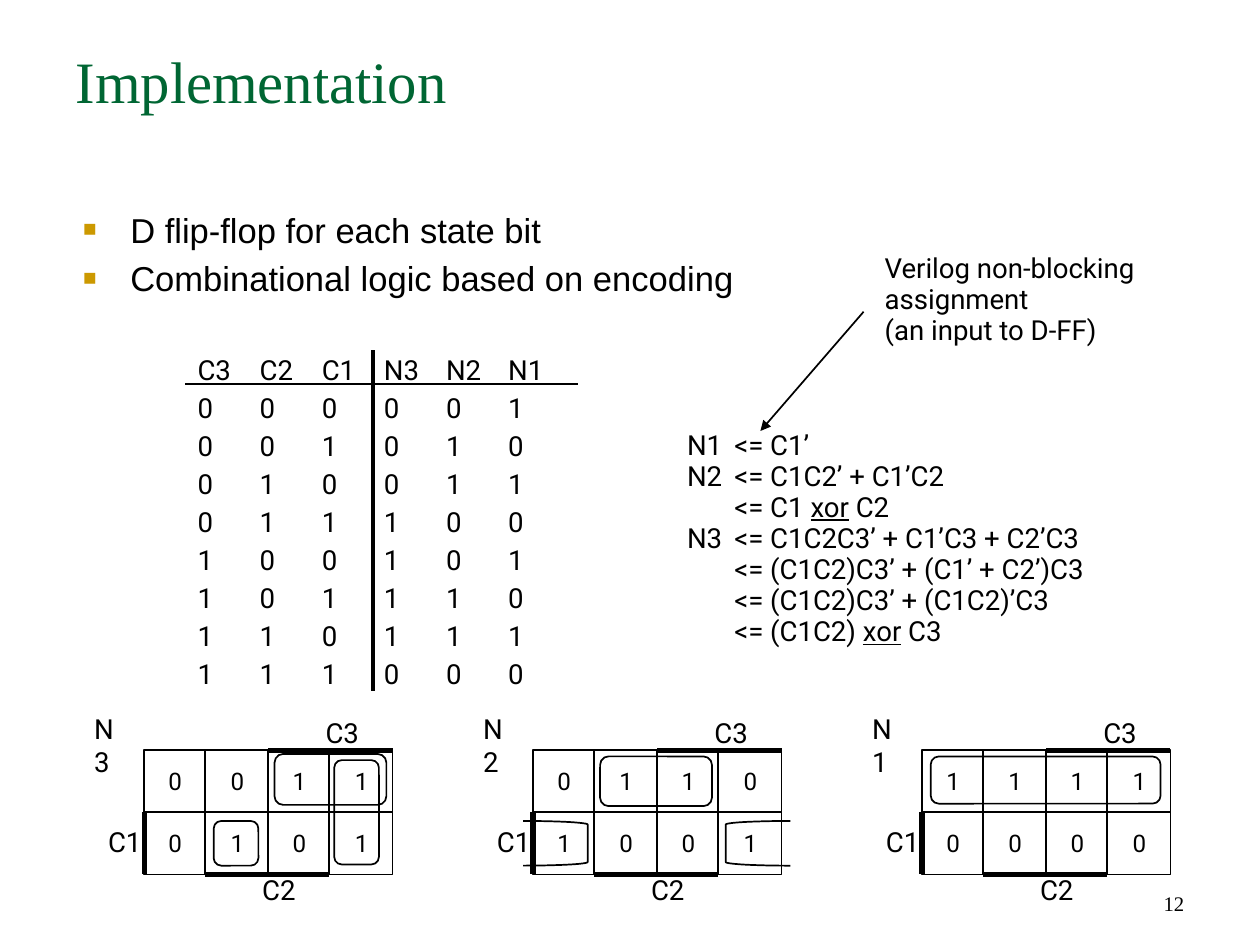
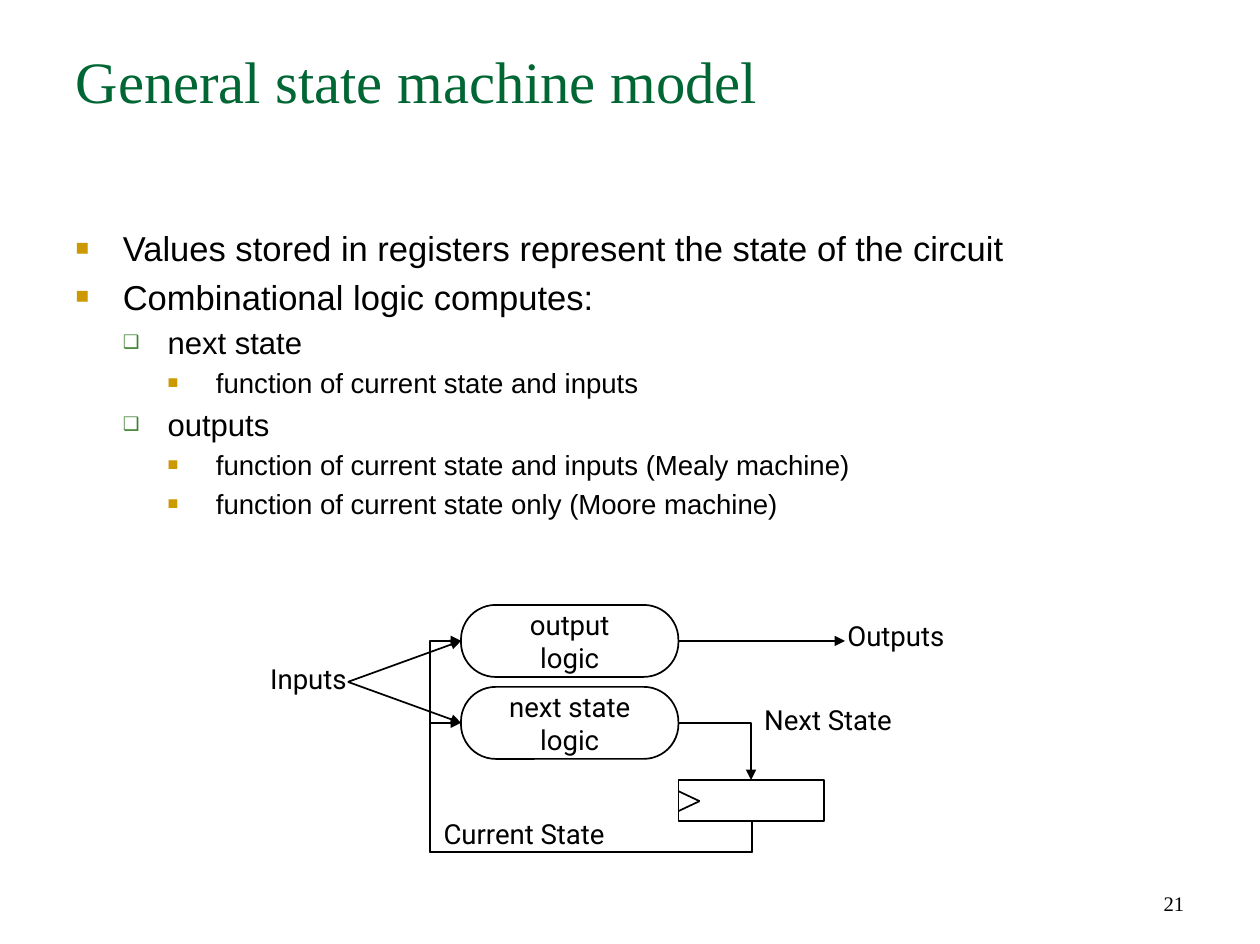
import pptx
import pptx.util
import pptx.dml.color
import pptx.enum.shapes
import pptx.enum.text
import pptx.oxml.ns
import lxml.etree

Inches = pptx.util.Inches
Pt = pptx.util.Pt
SHAPES = pptx.enum.shapes.MSO_SHAPE
LINES = pptx.enum.shapes.MSO_CONNECTOR
ALIGN = pptx.enum.text.PP_ALIGN
ANCHOR = pptx.enum.text.MSO_ANCHOR

COLORS = {"ink": "000000", "title": "006633", "gold": "CC9900", "green": "3B812F"}
SERIF, SANS, DIAGRAM = "Times New Roman", "Arial", "Roboto"
WIDE, TIGHT = (0.1, 0.05), (0.02, 0.03)
STOPS = (0.38, 1, 1.5)
LEVELS = [
    (20, 0.38, 0.38, "■", "gold", 65),
    (18, 0.74, 0.36, "❑", "green", 60),
    (16, 1.13, 0.39, "■", "gold", 65),
]


def rgb(name):
    return pptx.dml.color.RGBColor.from_string(COLORS[name])


def add_node(parent, tag, **attributes):
    node = lxml.etree.SubElement(parent, pptx.oxml.ns.qn(tag))
    for key, value in attributes.items():
        node.set(key, str(value))
    return node


def add_span(para, text, size, font=DIAGRAM, color="ink", underline=None):
    span = para.add_run()
    span.text = text
    span.font.size = Pt(size)
    span.font.name = font
    span.font.color.rgb = rgb(color)
    span.font.underline = underline


def set_frame(frame, insets, anchor=ANCHOR.TOP):
    frame.word_wrap = True
    frame.auto_size = pptx.enum.text.MSO_AUTO_SIZE.NONE
    frame.vertical_anchor = anchor
    frame.margin_left = frame.margin_right = Inches(insets[0])
    frame.margin_top = frame.margin_bottom = Inches(insets[1])


def next_para(frame, index):
    return frame.add_paragraph() if index else frame.paragraphs[0]


def add_text(page, place, lines, spacing=None, size=16, font=DIAGRAM, insets=TIGHT,
             align=ALIGN.LEFT, anchor=ANCHOR.TOP, stops=()):
    box = page.shapes.add_textbox(*map(Inches, place))
    set_frame(box.text_frame, insets, anchor)
    for index, line in enumerate(lines):
        para = next_para(box.text_frame, index)
        para.alignment = align
        if stops:
            tabs = add_node(para._p.get_or_add_pPr(), "a:tabLst")
            for stop in stops:
                add_node(tabs, "a:tab", pos=Inches(stop), algn="l")
        if spacing:
            para.line_spacing = Pt(spacing)
        for part, text in enumerate(line.split("_")):
            add_span(para, text, size, font, underline=True if part % 2 else None)


def add_bullets(page, left, top, items):
    box = page.shapes.add_textbox(*map(Inches, (left, top, 9.12, 5.02)))
    set_frame(box.text_frame, WIDE)
    for index, (level, text) in enumerate(items):
        size, indent, hang, mark, color, percent = LEVELS[level]
        para = next_para(box.text_frame, index)
        props = para._p.get_or_add_pPr()
        props.set("marL", str(Inches(indent)))
        props.set("indent", str(-Inches(hang)))
        add_node(add_node(props, "a:buClr"), "a:srgbClr", val=COLORS[color])
        add_node(props, "a:buSzPct", val=percent * 1000)
        add_node(props, "a:buFont", typeface=SANS)
        add_node(props, "a:buChar", char=mark)
        para.level = level
        if index:
            para.space_before = Pt(size * 0.2)
        add_span(para, text, size, SANS)


def add_outline(page, kind, place, adjust=None, lines=()):
    shape = page.shapes.add_shape(kind, *map(Inches, place))
    shape.shadow.inherit = False
    shape.fill.background()
    shape.line.color.rgb = rgb("ink")
    shape.line.width = Pt(1)
    if adjust is not None:
        shape.adjustments[0] = adjust
    if lines:
        set_frame(shape.text_frame, WIDE, ANCHOR.MIDDLE)
    for index, line in enumerate(lines):
        para = next_para(shape.text_frame, index)
        para.alignment = ALIGN.CENTER
        add_span(para, line, 16)
    return shape


def add_line(page, start, end, weight=1, arrow=False, kind=LINES.STRAIGHT):
    line = page.shapes.add_connector(kind, *map(Inches, (*start, *end)))
    line.line.color.rgb = rgb("ink")
    line.line.width = Pt(weight)
    if arrow:
        add_node(line.line._get_or_add_ln(), "a:tailEnd", type="triangle")
    add_node(line._element.spPr, "a:effectLst")
    return line


def add_feedback(page, register, logic, start, end, reach=0.25):
    line = add_line(page, start, end, arrow=True, kind=LINES.ELBOW)
    line.begin_connect(register, 2)
    line.end_connect(logic, 1)
    rise, run = start[1] - end[1], start[0] - end[0]
    line.left = Inches((start[0] + end[0] - rise) / 2)
    line.top = Inches((start[1] + end[1] - run) / 2)
    line.width, line.height = Inches(rise), Inches(run)
    frame = line._element.spPr.find(pptx.oxml.ns.qn("a:xfrm"))
    frame.attrib.pop("flipH", None)
    frame.set("rot", "16200000")
    frame.set("flipV", "1")
    shape = line._element.spPr.find(pptx.oxml.ns.qn("a:prstGeom"))
    shape.set("prst", "bentConnector4")
    guides = shape.find(pptx.oxml.ns.qn("a:avLst"))
    if guides is None:
        guides = add_node(shape, "a:avLst")
    for name, value in (("adj1", -reach / rise), ("adj2", 1 + reach / run)):
        add_node(guides, "a:gd", name=name, fmla=f"val {round(value * 100000)}")


def clear_borders(cell):
    props = cell._tc.get_or_add_tcPr()
    for position, side in enumerate(("L", "R", "T", "B")):
        border = lxml.etree.Element(pptx.oxml.ns.qn(f"a:ln{side}"))
        add_node(border, "a:noFill")
        props.insert(position, border)


def add_grid(page, left, top, rows, widths, heights, size, align, anchor, inset):
    frame = page.shapes.add_table(len(rows), len(widths), Inches(left), Inches(top),
                                  sum(widths), sum(heights))
    table = frame.table
    table.first_row = table.horz_banding = False
    for column, width in zip(table.columns, widths):
        column.width = width
    for row, height in zip(table.rows, heights):
        row.height = height
    for r, values in enumerate(rows):
        for c, value in enumerate(values):
            cell = table.cell(r, c)
            cell.margin_left, cell.margin_right = Inches(inset), 0
            cell.margin_top = cell.margin_bottom = 0
            cell.vertical_anchor = anchor
            cell.fill.background()
            clear_borders(cell)
            para = cell.text_frame.paragraphs[0]
            para.alignment = align
            add_span(para, value, size)


def add_truth_table(page):
    rows = [["C3", "C2", "C1", "N3", "N2", "N1"]]
    for state in range(8):
        rows.append(list(f"{state:03b}{(state + 1) % 8:03b}"))
    add_grid(page, 1.49, 2.85, rows, [Inches(0.5)] * 5 + [Inches(0.66)],
             [Inches(0.27)] + [Pt(22)] * 8, 16, ALIGN.LEFT, ANCHOR.BOTTOM, 0.1)
    add_line(page, (1.49, 3.09), (4.65, 3.09))
    add_line(page, (3, 2.82), (3, 5.56), 2)


def add_karnaugh_map(page, left, name, rows):
    top, cell = 6.04, 0.5
    add_grid(page, left, top + 0.01, rows, [Inches(cell)] * 4, [Inches(cell)] * 2,
             14, ALIGN.CENTER, ANCHOR.MIDDLE, 0)
    for half in (left + 2 * cell, left):
        add_outline(page, SHAPES.RECTANGLE, (half, top, 2 * cell, 2 * cell))
        add_line(page, (half + 0.49, top), (half + 0.49, top + 2 * cell))
        add_line(page, (half + 2 * cell, top + cell), (half, top + cell))
    for x1, y1, x2, y2 in ((1, 0, 2, 0), (0.49, 1, 1.49, 1), (0, 0.5, 0, 1)):
        add_line(page, (left + x1, top + y1), (left + x2, top + y2), 3)
    for label, x, y in (("C1", -0.31, 6.66), ("C2", 0.93, 7.04), ("C3", 1.44, 5.78)):
        add_text(page, (left + x, y, 0.64, 0.36), [label], 16)
    add_text(page, (left - 0.5, 5.68, 0.46, 0.37), [name], insets=WIDE)


def add_page(deck, title, number):
    page = deck.slides.add_slide(deck.slide_layouts[5])
    box = page.shapes.title
    box.left, box.top, box.width, box.height = map(Inches, (0.51, 0.31, 9.12, 1.26))
    set_frame(box.text_frame, WIDE)
    para = box.text_frame.paragraphs[0]
    para.alignment = ALIGN.LEFT
    add_span(para, title, 34, SERIF, "title")
    add_text(page, (7.26, 6.91, 2.37, 0.51), [str(number)], size=12, font=SERIF,
             insets=WIDE, align=ALIGN.RIGHT, anchor=ANCHOR.BOTTOM)
    return page


def build_implementation(deck):
    page = add_page(deck, "Implementation", 12)
    add_bullets(page, 0.57, 1.63, [
        (0, "D flip-flop for each state bit"),
        (0, "Combinational logic based on encoding"),
    ])
    add_truth_table(page)
    add_text(page, (5.51, 3.43, 4.22, 1.64), [
        "N1\t<= C1’",
        "N2\t<= C1C2’ + C1’C2",
        "\t<= C1 _xor_ C2",
        "N3\t<= C1C2C3’ + C1’C3 + C2’C3",
        "\t<= (C1C2)C3’ + (C1’ + C2’)C3",
        "\t<= (C1C2)C3’ + (C1C2)’C3",
        "\t<= (C1C2) _xor_ C3",
    ], 18, stops=STOPS)
    add_line(page, (6.95, 2.51), (6.12, 3.47), arrow=True)
    add_text(page, (7.1, 2.01, 2.28, 0.89),
             ["Verilog non-blocking", "assignment", "(an input to D-FF)"], 18)
    maps = (("N3", ("0011", "0101")), ("N2", ("0110", "1001")), ("N1", ("1111", "0000")))
    for index, (name, rows) in enumerate(maps):
        add_karnaugh_map(page, 1.16 + 3.13 * index, name, rows)
    for place in ((2.21, 6.07, 0.9, 0.41), (2.69, 6.12, 0.36, 0.84),
                  (1.72, 6.61, 0.36, 0.36), (4.83, 6.09, 0.9, 0.4),
                  (7.49, 6.09, 1.85, 0.38)):
        add_outline(page, SHAPES.ROUNDED_RECTANGLE, place, 0.17)
    for kind, left in ((SHAPES.LEFT_BRACKET, 5.84), (SHAPES.RIGHT_BRACKET, 4.21)):
        add_outline(page, kind, (left, 6.61, 0.52, 0.36), 0.08)


def build_state_machine(deck):
    page = add_page(deck, "General state machine model", 21)
    add_bullets(page, 0.51, 1.78, [
        (0, "Values stored in registers represent the state of the circuit"),
        (0, "Combinational logic computes:"),
        (1, "next state"),
        (2, "function of current state and inputs"),
        (1, "outputs"),
        (2, "function of current state and inputs (Mealy machine)"),
        (2, "function of current state only (Moore machine)"),
    ])
    for label, left, top, width, align in (
            ("Inputs", 1.8, 5.37, 1.01, ALIGN.RIGHT),
            ("Outputs", 6.8, 5.03, 1.44, ALIGN.LEFT),
            ("Next State", 6.13, 5.7, 1.29, ALIGN.LEFT),
            ("Current State", 3.55, 6.62, 1.53, ALIGN.LEFT)):
        add_text(page, (left, top, width, 0.33), [label], 13.9, align=align)
    register = add_outline(page, SHAPES.RECTANGLE, (5.46, 6.28, 1.17, 0.33))
    for y in (6.37, 6.53):
        add_line(page, (5.46, y), (5.63, 6.45))
    for top, name in ((4.87, "output"), (5.53, "next state")):
        logic = add_outline(page, SHAPES.ROUNDED_RECTANGLE, (3.71, top, 1.75, 0.58),
                            0.48, [name, "logic"])
        middle = top + 0.29
        add_line(page, (2.8, 5.49), (3.71, middle), arrow=True).end_connect(logic, 1)
        add_feedback(page, register, logic, (6.05, 6.61), (3.71, middle))
        if name == "output":
            add_line(page, (5.46, middle), (6.8, middle), arrow=True).begin_connect(logic, 3)
        else:
            link = add_line(page, (5.46, middle), (6.05, 6.28), arrow=True, kind=LINES.ELBOW)
            link.begin_connect(logic, 3)
            link.end_connect(register, 0)
            link._element.spPr.find(pptx.oxml.ns.qn("a:prstGeom")).set("prst", "bentConnector2")


def main():
    deck = pptx.Presentation()
    deck.slide_width, deck.slide_height = Inches(10.14), Inches(7.6)
    build_implementation(deck)
    build_state_machine(deck)
    deck.save("out.pptx")


if __name__ == "__main__":
    main()
